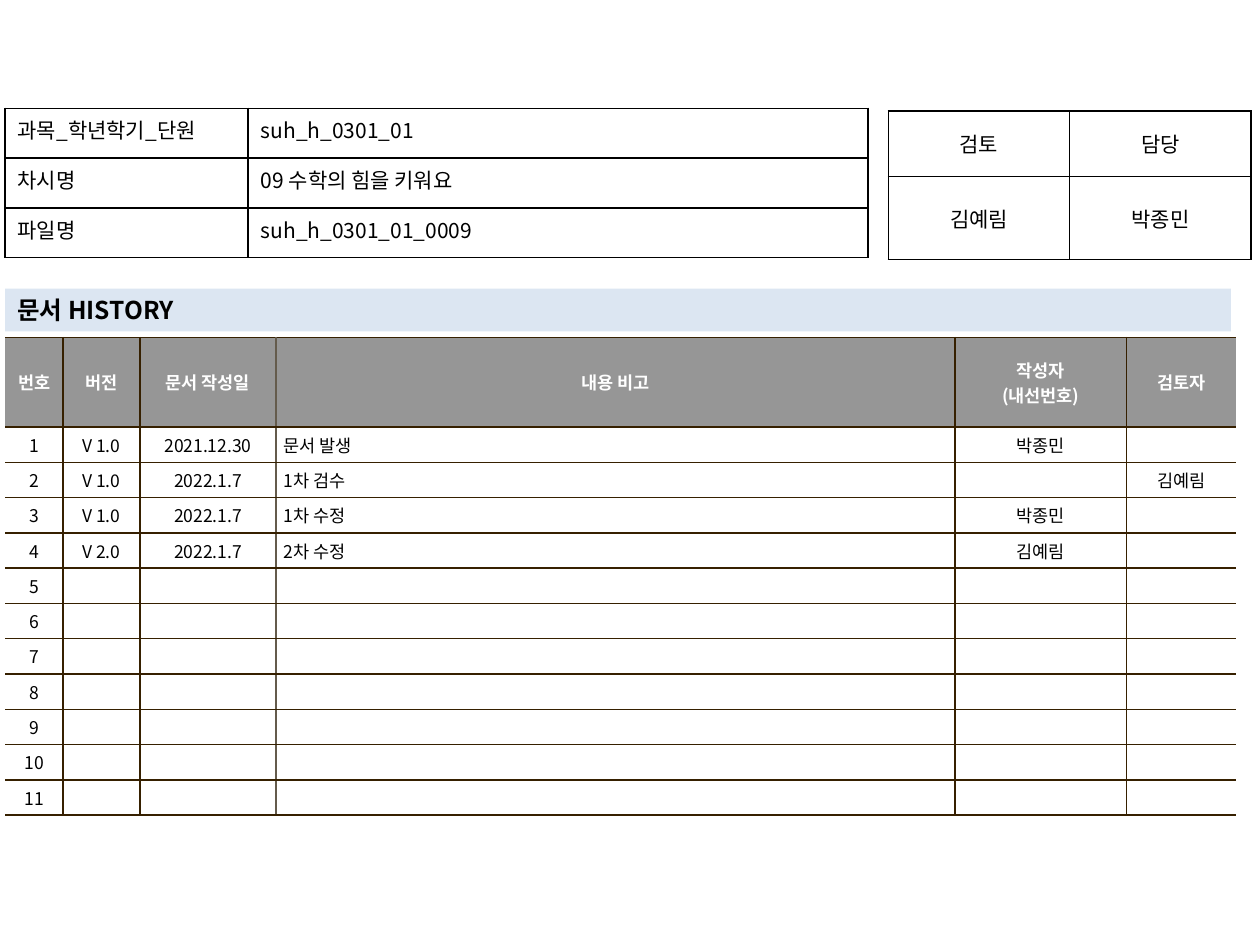
from dataclasses import dataclass
from typing import Optional

from lxml.etree import SubElement
from pptx import Presentation
from pptx.dml.color import RGBColor
from pptx.enum.shapes import MSO_SHAPE as Preset
from pptx.enum.text import MSO_ANCHOR as Anchor, PP_ALIGN as Align
from pptx.oxml.ns import qn
from pptx.util import Emu, Inches, Pt

FONT = "Noto Sans CJK KR"
BLACK, WHITE, GRAY, PALE_BLUE = "000000", "FFFFFF", "969696", "DCE6F2"
BROWN, TAUPE = "362000", "645B4C"

# The slide is a grid of 1000 columns by 750 rows
COLUMNS, ROWS = 1000, 750

deck = Presentation()
deck.slide_width, deck.slide_height = Inches(10), Inches(7.5)
page = deck.slides.add_slide(deck.slide_layouts[6])


@dataclass
class TableSpec:
    left: int
    top: int
    widths: list[int]
    heights: list[int]
    texts: list[list[str]]
    aligns: list[Align]
    size: int
    margins: tuple[int, int]
    anchor: Anchor = Anchor.MIDDLE
    line: str = BLACK
    fill: Optional[str] = None
    header_fill: Optional[str] = None
    open_sides: bool = False
    accent_edge: Optional[int] = None


def across(count: float) -> Emu:
    return Emu(round(deck.slide_width * count / COLUMNS))


def down(count: float) -> Emu:
    return Emu(round(deck.slide_height * count / ROWS))


def color(value: str) -> RGBColor:
    return RGBColor.from_string(value)


def write(frame, text: str, *, size: int, ink: str = BLACK, bold: bool = False,
          align: Align = Align.LEFT) -> None:
    """Fill a text frame, one paragraph for each line of text."""
    for index, line in enumerate(text.split("\n")):
        para = frame.add_paragraph() if index else frame.paragraphs[0]
        para.alignment = align
        if line:
            span = para.add_run()
            span.text = line
            font = span.font
            font.name, font.size, font.bold = FONT, Pt(size), bold
            font.color.rgb = color(ink)
            SubElement(font._element, qn("a:ea"), typeface=FONT)
        else:
            # An empty cell still needs its text size to keep the row height
            SubElement(para._p, qn("a:endParaRPr"), sz=str(size * 100))


def paint(target, value: Optional[str]) -> None:
    if value is None:
        target.fill.background()
    else:
        target.fill.solid()
        target.fill.fore_color.rgb = color(value)


def set_borders(cell, edges: dict[str, Optional[str]]) -> None:
    """Draw one-point borders; an edge without a colour stays open."""
    properties = cell._tc.get_or_add_tcPr()
    for position, (side, value) in enumerate(edges.items()):
        line = properties.makeelement(qn(f"a:ln{side}"), {"w": str(Pt(1))})
        properties.insert(position, line)
        if value is None:
            SubElement(line, qn("a:noFill"))
        else:
            solid = SubElement(line, qn("a:solidFill"))
            SubElement(solid, qn("a:srgbClr"), val=value)


def draw_table(spec: TableSpec) -> None:
    table = page.shapes.add_table(
        len(spec.heights), len(spec.widths), across(spec.left), down(spec.top),
        across(sum(spec.widths)), down(sum(spec.heights))).table
    table.first_row = table.horz_banding = False
    for column, width in zip(table.columns, spec.widths):
        column.width = across(width)
    for row, height in zip(table.rows, spec.heights):
        row.height = down(height)

    def edge_color(edge: int) -> Optional[str]:
        if spec.open_sides and edge in (0, len(spec.widths)):
            return None
        return TAUPE if edge == spec.accent_edge else spec.line

    for r, texts in enumerate(spec.texts):
        is_header = r == 0 and spec.header_fill is not None
        for c, text in enumerate(texts):
            cell = table.cell(r, c)
            cell.margin_left = cell.margin_right = across(spec.margins[0])
            cell.margin_top = cell.margin_bottom = down(spec.margins[1])
            cell.vertical_anchor = spec.anchor
            paint(cell, spec.header_fill if is_header else spec.fill)
            set_borders(cell, {"L": edge_color(c), "R": edge_color(c + 1),
                               "T": spec.line, "B": spec.line})
            write(cell.text_frame, text, size=spec.size, bold=is_header,
                  ink=WHITE if is_header else BLACK,
                  align=Align.CENTER if is_header else spec.aligns[c])


def draw_heading(text: str) -> None:
    box = page.shapes.add_shape(Preset.RECTANGLE, across(4), down(229),
                                across(973), down(34))
    box.shadow.inherit = False
    paint(box, PALE_BLUE)
    box.line.fill.background()
    frame = box.text_frame
    frame.word_wrap = True
    frame.vertical_anchor = Anchor.MIDDLE
    write(frame, text, size=14, bold=True)


# Document history: numbered rows, the later ones still empty
HISTORY_ROWS = 11
entries = [
    ["V 1.0", "2021.12.30", "문서 발생", "박종민", ""],
    ["V 1.0", "2022.1.7", "1차 검수", "", "김예림"],
    ["V 1.0", "2022.1.7", "1차 수정", "박종민", ""],
    ["V 2.0", "2022.1.7", "2차 수정", "김예림", ""],
]
entries += [[""] * 5 for _ in range(HISTORY_ROWS - len(entries))]
header = ["번호", "버전", "문서 작성일", "내용 비고", "작성자\n(내선번호)", "검토자"]
center = Align.CENTER
draw_table(TableSpec(
    left=4, top=268, widths=[46, 61, 108, 539, 136, 87],
    heights=[71] + [28] * HISTORY_ROWS,
    texts=[header] + [[str(n), *entry] for n, entry in enumerate(entries, 1)],
    aligns=[center, center, center, Align.LEFT, center, center],
    size=10, margins=(6, 4), line=BROWN, fill=WHITE, header_fill=GRAY,
    open_sides=True, accent_edge=3))

# Reviewer and owner
draw_table(TableSpec(
    left=705, top=88, widths=[144, 144], heights=[52, 66],
    texts=[["검토", "담당"], ["김예림", "박종민"]],
    aligns=[center, center], size=12, margins=(10, 5)))

# Section heading
draw_heading("문서 HISTORY")

# Document information
draw_table(TableSpec(
    left=4, top=86, widths=[193, 492], heights=[39.5] * 3,
    texts=[["과목_학년학기_단원", "suh_h_0301_01"],
           ["차시명", "09 수학의 힘을 키워요"],
           ["파일명", "suh_h_0301_01_0009"]],
    aligns=[Align.JUSTIFY, Align.LEFT], size=12, margins=(10, 5),
    anchor=Anchor.TOP))

deck.save("out.pptx")
